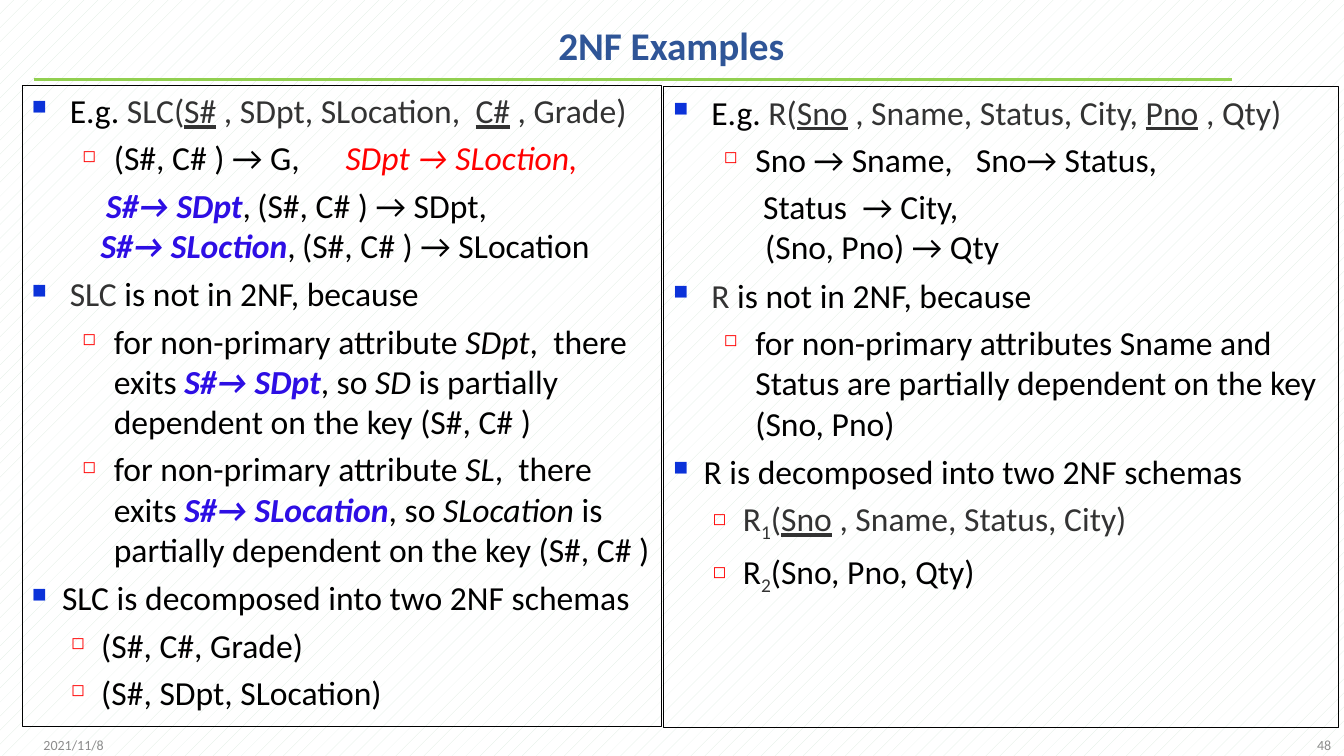
from lxml.etree import SubElement
from pptx import Presentation
from pptx.dml.color import RGBColor
from pptx.enum.dml import MSO_PATTERN
from pptx.enum.shapes import MSO_CONNECTOR
from pptx.enum.text import MSO_ANCHOR, PP_ALIGN
from pptx.oxml.ns import qn
from pptx.util import Pt

COLORS = {
    "title": "2F5597", "rule": "92D050", "black": "000000", "gray": "333333",
    "red": "FF0000", "blue": "2D0EE4", "square": "0B32D9", "foot": "8C8C8C",
    "hatch": "DCECE0", "white": "FFFFFF",
}

STYLES = {
    "plain": ("black", ""), "gray": ("gray", ""), "key": ("gray", "u"),
    "red": ("red", "i"), "blue": ("blue", "bi"), "ital": ("black", "i"),
    "sub": ("gray", "s"),
}

LEVELS = {
    "main": (27, 27, 5.6, ("■", "square", 60)),
    "item": (58.5, 22.5, 5, ("◻", "red", 50)),
    "last": (21.5, 21.5, 5.6, ("■", "square", 60)),
    "part": (49.5, 21.5, 5, ("◻", "red", 50)),
}

LEFT = [
    ("main", [("E.g. ", "plain"), ("SLC(", "gray"), ("S#", "key"),
              (" , SDpt, SLocation,  ", "gray"), ("C#", "key"), (" , Grade)", "gray")]),
    ("item", [("(S#, C# ) → G,\t", "plain"), ("SDpt → SLoction,", "red")], 224),
    ((53, 0, 5, None), [("S#→ SDpt", "blue"), (",\t(S#, C# ) → SDpt,", "plain")], 221.5),
    ((49, 0, 0, None), [("S#→ SLoction", "blue"), (",\t(S#, C# ) → SLocation", "plain")], 226.5),
    ("main", [("SLC", "gray"), (" is not in 2NF, because", "plain")]),
    ("item", [("for non-primary attribute ", "plain"), ("SDpt", "ital"),
              (",  there exits ", "plain"), ("S#→ SDpt", "blue"), (", so ", "plain"),
              ("SD", "ital"), (" is partially dependent on the key (S#, C# )", "plain")]),
    ("item", [("for non-primary attribute ", "plain"), ("SL", "ital"),
              (",  there exits ", "plain"), ("S#→ SLocation", "blue"), (", so ", "plain"),
              ("SLocation", "ital"), (" is partially dependent on the key (S#, C# )", "plain")]),
    ("last", [("SLC is decomposed into two 2NF schemas", "plain")]),
    ("part", [("(S#, C#, Grade)", "plain")]),
    ("part", [("(S#, SDpt, SLocation)", "plain")]),
]

RIGHT = [
    ("main", [("E.g. ", "plain"), ("R(", "gray"), ("Sno", "key"),
              (" , Sname, Status, City, ", "gray"), ("Pno", "key"), (" , Qty)", "gray")]),
    ("item", [("Sno → Sname,\tSno→ Status,", "plain")], 216),
    ((64, 0, 5, None), [("Status  → City,", "plain")]),
    ((65.5, 0, 0, None), [("(Sno, Pno) → Qty", "plain")]),
    ("main", [("R", "gray"), (" is not in 2NF, because", "plain")]),
    ("item", [("for non-primary attributes Sname and Status are partially "
               "dependent on the key (Sno, Pno)", "plain")]),
    ("last", [("R is decomposed into two 2NF schemas", "plain")]),
    ("part", [("R", "gray"), ("1", "sub"), ("(", "gray"), ("Sno", "key"),
              (" , Sname, Status, City)", "gray")]),
    ("part", [("R", "plain"), ("2", "sub"), ("(Sno, Pno, Qty)", "plain")]),
]


def tint(name):
    return RGBColor.from_string(COLORS[name])


def set_font(para, size, color=None):
    para.font.name = "Calibri"
    para.font.size = Pt(size)
    if color:
        para.font.color.rgb = tint(color)


def indent(para, level, tab):
    left, hang, gap, mark = level
    props = para._p.get_or_add_pPr()
    props.set("marL", str(Pt(left)))
    props.set("indent", str(-Pt(hang)))
    para.space_before = Pt(gap)
    if mark:
        char, color, size = mark
        SubElement(SubElement(props, qn("a:buClr")), qn("a:srgbClr"), val=COLORS[color])
        SubElement(props, qn("a:buSzPct"), val=str(size * 1000))
        SubElement(props, qn("a:buChar"), char=char)
    else:
        SubElement(props, qn("a:buNone"))
    if tab:
        stops = SubElement(props, qn("a:tabLst"))
        SubElement(stops, qn("a:tab"), pos=str(Pt(tab)), algn="l")


def add_run(para, text, style):
    color, marks = STYLES[style]
    run = para.add_run()
    run.text = text
    run.font.color.rgb = tint(color)
    if "b" in marks:
        run.font.bold = True
    if "i" in marks:
        run.font.italic = True
    if "u" in marks:
        run.font.underline = True
    if "s" in marks:
        run._r.get_or_add_rPr().set("baseline", "-25000")


def add_panel(slide, box, rows):
    panel = slide.shapes.add_textbox(*map(Pt, box))
    panel.line.color.rgb = tint("black")
    panel.line.width = Pt(0.75)
    frame = panel.text_frame
    frame.word_wrap = True
    for num, (level, runs, *tab) in enumerate(rows):
        para = frame.add_paragraph() if num else frame.paragraphs[0]
        left, hang, gap, mark = LEVELS.get(level, level)
        indent(para, (left, hang, gap if num else 0, mark), tab[0] if tab else None)
        set_font(para, 24)
        for text, style in runs:
            add_run(para, text, style)


def add_head(slide, box, text):
    left, top, width, height = box
    rule = slide.shapes.add_connector(
        MSO_CONNECTOR.STRAIGHT, Pt(left), Pt(top + 50.5), Pt(left + 856), Pt(top + 50.5))
    rule.line.color.rgb = tint("rule")
    rule.line.width = Pt(2.25)
    SubElement(rule._element.spPr, qn("a:effectLst"))
    title = slide.shapes.title
    title.left, title.top, title.width, title.height = map(Pt, box)
    frame = title.text_frame
    frame.text = text
    frame.vertical_anchor = MSO_ANCHOR.MIDDLE
    para = frame.paragraphs[0]
    para.alignment = PP_ALIGN.CENTER
    para.line_spacing = 0.9
    set_font(para, 28, "title")
    para.font.bold = True


def add_foot(slide, box, date, page):
    left, top, width, height = box
    part = 216
    for text, start, align in (
            (date, left, PP_ALIGN.LEFT), (page, left + width - part, PP_ALIGN.RIGHT)):
        note = slide.shapes.add_textbox(Pt(start), Pt(top), Pt(part), Pt(height))
        frame = note.text_frame
        frame.word_wrap = True
        frame.vertical_anchor = MSO_ANCHOR.MIDDLE
        frame.text = text
        para = frame.paragraphs[0]
        para.alignment = align
        set_font(para, 10, "foot")


def main():
    deck = Presentation()
    deck.slide_width, deck.slide_height = Pt(960), Pt(540)
    slide = deck.slides.add_slide(deck.slide_layouts[5])
    fill = slide.background.fill
    fill.patterned()
    fill.pattern = MSO_PATTERN.PERCENT_5
    fill.fore_color.rgb = tint("hatch")
    fill.back_color.rgb = tint("white")
    add_head(slide, (24, 6.5, 911, 55.5), "2NF Examples")
    add_panel(slide, (15.75, 60.75, 456.5, 458), LEFT)
    add_panel(slide, (474, 61.75, 482, 458), RIGHT)
    add_foot(slide, (24, 517.5, 934, 29), "2021/11/8", "48")
    deck.save("out.pptx")


if __name__ == "__main__":
    main()
